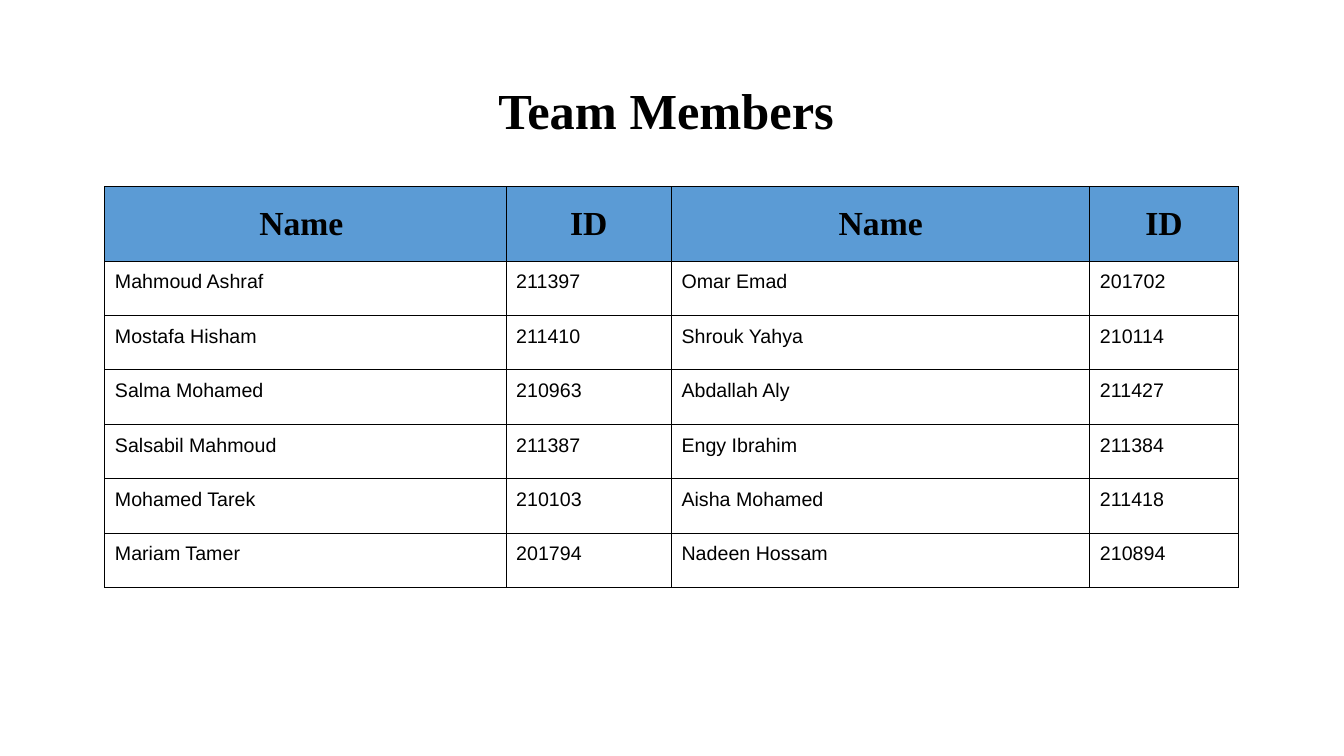
import lxml.etree
import pptx
import pptx.dml.color
import pptx.enum.text
import pptx.oxml.ns
import pptx.util

RGBColor = pptx.dml.color.RGBColor
BLACK = RGBColor(0x00, 0x00, 0x00)
WHITE = RGBColor(0xFF, 0xFF, 0xFF)
HEADER_BLUE = RGBColor(0x5B, 0x9B, 0xD5)

Inches, Pt = pptx.util.Inches, pptx.util.Pt
CENTER = pptx.enum.text.PP_ALIGN.CENTER
LEFT = pptx.enum.text.PP_ALIGN.LEFT
MIDDLE = pptx.enum.text.MSO_ANCHOR.MIDDLE
TOP = pptx.enum.text.MSO_ANCHOR.TOP

SLIDE_WIDTH, SLIDE_HEIGHT = 13.33, 7.5
TITLE_BOX = (0.92, 0.4, 11.5, 1.45)
TABLE_BOX = (1.04, 1.85, 11.24, 3.98)
COLUMN_WIDTHS = (3.98, 1.64, 4.15, 1.47)
HEADER_HEIGHT = 0.74
CELL_MARGIN = 0.1
BORDER_WIDTH = 0.75

TITLE_FONT = {"name": "Times New Roman", "size": Pt(36), "bold": True}
HEADER_FONT = {"name": "Times New Roman", "size": Pt(24), "bold": True}
BODY_FONT = {"name": "Arial", "size": Pt(14), "bold": False}

HEADINGS = ("Name ", "ID", "Name", "ID")
MEMBERS = (
    ("Mahmoud Ashraf", "211397", "Omar Emad", "201702"),
    ("Mostafa Hisham", "211410", "Shrouk Yahya", "210114"),
    ("Salma Mohamed", "210963", "Abdallah Aly", "211427"),
    ("Salsabil Mahmoud", "211387", "Engy Ibrahim", "211384"),
    ("Mohamed Tarek", "210103", "Aisha Mohamed", "211418"),
    ("Mariam Tamer", "201794", "Nadeen Hossam", "210894"),
)


def write_text(paragraph, text, font_format, alignment):
    paragraph.alignment = alignment
    run = paragraph.add_run()
    run.text = text
    for attribute, value in font_format.items():
        setattr(run.font, attribute, value)
    run.font.color.rgb = BLACK


def add_title(slide, box, text):
    shape = slide.shapes.add_textbox(*map(Inches, box))
    frame = shape.text_frame
    frame.word_wrap = True
    frame.vertical_anchor = MIDDLE
    paragraph = frame.paragraphs[0]
    paragraph.line_spacing = 0.9
    write_text(paragraph, text, TITLE_FONT, CENTER)


def add_borders(cell):
    """Draw a thin solid line on all four sides of a cell."""
    qualify = pptx.oxml.ns.qn
    properties = cell._tc.get_or_add_tcPr()
    for position, side in enumerate(("lnL", "lnR", "lnT", "lnB")):
        line = lxml.etree.Element(qualify(f"a:{side}"), w=str(Pt(BORDER_WIDTH)))
        fill = lxml.etree.SubElement(line, qualify("a:solidFill"))
        lxml.etree.SubElement(fill, qualify("a:srgbClr"), val=str(BLACK))
        properties.insert(position, line)


def format_cell(cell, text, is_header):
    for side in ("left", "right", "top", "bottom"):
        setattr(cell, f"margin_{side}", Inches(CELL_MARGIN))
    cell.vertical_anchor = MIDDLE if is_header else TOP
    cell.fill.solid()
    cell.fill.fore_color.rgb = HEADER_BLUE if is_header else WHITE
    add_borders(cell)
    write_text(
        cell.text_frame.paragraphs[0],
        text,
        HEADER_FONT if is_header else BODY_FONT,
        CENTER if is_header else LEFT,
    )


def add_member_table(slide, box, headings, members):
    rows = (headings, *members)
    shape = slide.shapes.add_table(len(rows), len(headings), *map(Inches, box))
    table = shape.table
    body_height = (box[3] - HEADER_HEIGHT) / len(members)
    for column, width in zip(table.columns, COLUMN_WIDTHS):
        column.width = Inches(width)
    for row_index, texts in enumerate(rows):
        is_header = row_index == 0
        table.rows[row_index].height = Inches(HEADER_HEIGHT if is_header else body_height)
        for column_index, text in enumerate(texts):
            format_cell(table.cell(row_index, column_index), text, is_header)


def main():
    presentation = pptx.Presentation()
    presentation.slide_width = Inches(SLIDE_WIDTH)
    presentation.slide_height = Inches(SLIDE_HEIGHT)
    slide = presentation.slides.add_slide(presentation.slide_layouts[6])
    add_title(slide, TITLE_BOX, "Team Members ")
    add_member_table(slide, TABLE_BOX, HEADINGS, MEMBERS)
    presentation.save("out.pptx")


if __name__ == "__main__":
    main()
